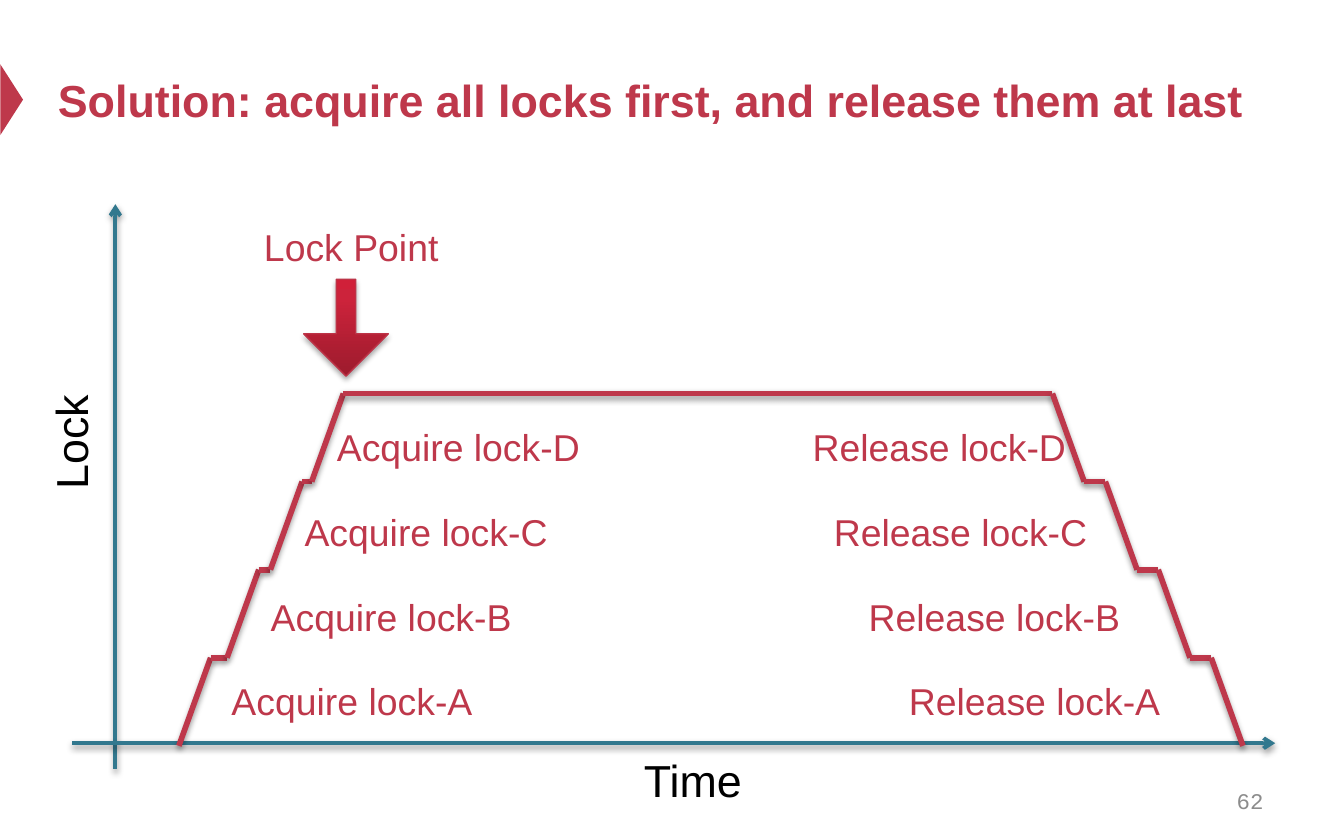
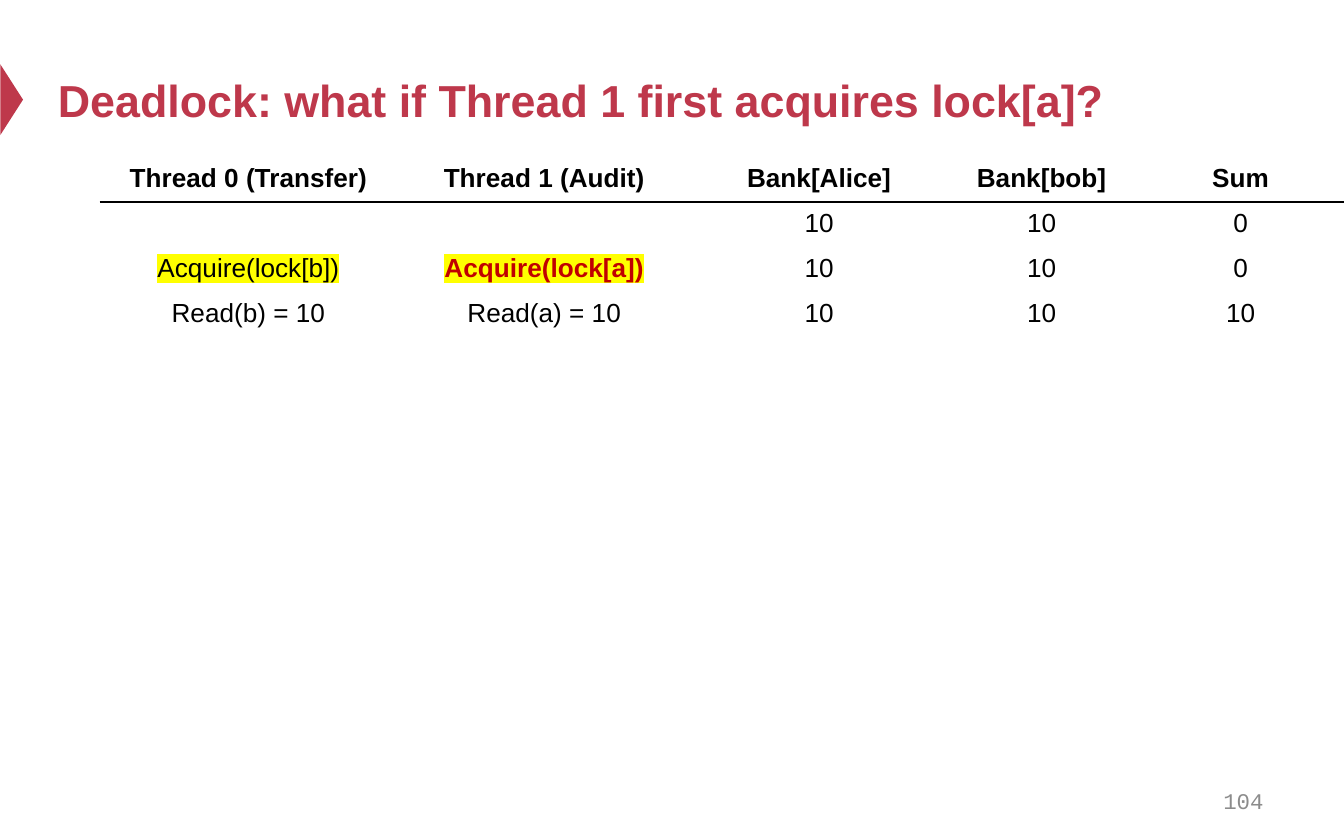
from dataclasses import dataclass
from itertools import pairwise

from lxml.etree import SubElement
from pptx import Presentation
from pptx.dml.color import RGBColor
from pptx.enum.shapes import MSO_CONNECTOR, MSO_SHAPE
from pptx.enum.text import MSO_ANCHOR, MSO_AUTO_SIZE, PP_ALIGN
from pptx.oxml.ns import qn
from pptx.util import Cm, Pt


@dataclass(frozen=True)
class Theme:
    red: str = "BE384B"
    arrow_edge: str = "BD3347"
    arrow_stops: tuple = ((0, "9D1B2D"), (80, "CC233B"), (100, "D02039"))
    teal: str = "32788E"
    black: str = "000000"
    white: str = "FFFFFF"
    grey: str = "8C8C8C"
    alert: str = "C00000"
    marker: str = "FFFF00"
    font: str = "Arial"
    number_font: str = "Courier New"
    title_size: int = 24
    label_size: int = 20
    table_size: int = 14
    number_size: int = 12


def add_color(parent, color):
    return SubElement(parent, qn("a:srgbClr"), val=color)


class Deck:
    def __init__(self, theme):
        self.theme = theme
        self.slide = None
        self.presentation = Presentation()
        self.presentation.slide_width = Cm(25.4)
        self.presentation.slide_height = Cm(15.88)

    # Slide frame: marker, title and page number
    def add_slide(self, title, number, title_width):
        theme = self.theme
        self.slide = self.presentation.slides.add_slide(self.presentation.slide_layouts[5])
        marker = self.add_shape(MSO_SHAPE.ISOSCELES_TRIANGLE, -0.45, 1.67, 1.34, 0.43)
        marker.rotation = 90
        marker.fill.solid()
        marker.fill.fore_color.rgb = RGBColor.from_string(theme.red)
        marker.line.fill.background()

        placeholder = self.slide.shapes.title
        placeholder.left, placeholder.top = Cm(0.84), Cm(0.64)
        placeholder.width, placeholder.height = Cm(title_width), Cm(2.49)
        frame = placeholder.text_frame
        frame.auto_size = MSO_AUTO_SIZE.NONE
        frame.vertical_anchor = MSO_ANCHOR.MIDDLE
        self.add_run(frame.paragraphs[0], title, theme.title_size, theme.red,
                     bold=True, align=PP_ALIGN.LEFT)

        page_number = self.add_text(number, 18.21, 14.71, 5.92, 0.84, theme.number_size,
                                    theme.grey, font=theme.number_font,
                                    align=PP_ALIGN.RIGHT)
        page_number.text_frame.vertical_anchor = MSO_ANCHOR.MIDDLE

    # Text
    def add_run(self, paragraph, text, size, color, bold=False, font=None,
                align=PP_ALIGN.CENTER, highlight=None):
        paragraph.alignment = align
        run = paragraph.add_run()
        run.text = text
        run.font.size = Pt(size)
        run.font.bold = bold
        run.font.color.rgb = RGBColor.from_string(color)
        if highlight:
            add_color(SubElement(run.font.fill._xPr, qn("a:highlight")), highlight)
        run.font.name = font or self.theme.font

    def add_text(self, text, left, top, width, height, size, color, wrap=True, **style):
        box = self.slide.shapes.add_textbox(Cm(left), Cm(top), Cm(width), Cm(height))
        box.text_frame.word_wrap = wrap
        self.add_run(box.text_frame.paragraphs[0], text, size, color, **style)
        return box

    def add_label(self, text, left, top, width):
        self.add_text(text, left, top, width, 1.12, self.theme.label_size,
                      self.theme.red, wrap=False)

    # Shapes and lines
    def add_shape(self, kind, left, top, width, height):
        shape = self.slide.shapes.add_shape(kind, Cm(left), Cm(top), Cm(width), Cm(height))
        shape.shadow.inherit = False
        return shape

    def add_shadow(self, shape, opacity, distance):
        properties = shape.element.spPr
        effects = properties.find(qn("a:effectLst"))
        if effects is None:
            effects = SubElement(properties, qn("a:effectLst"))
        shadow = SubElement(effects, qn("a:outerShdw"), blurRad=str(Pt(3.1)),
                            dist=str(Pt(distance)), dir="5400000", rotWithShape="0")
        SubElement(add_color(shadow, self.theme.black), qn("a:alpha"), val=str(opacity * 1000))

    def add_line(self, start, end, color, width, arrow=False):
        line = self.slide.shapes.add_connector(
            MSO_CONNECTOR.STRAIGHT, *(Cm(value) for value in (*start, *end)))
        line.line.color.rgb = RGBColor.from_string(color)
        line.line.width = Pt(width)
        if arrow:
            SubElement(line.element.spPr.find(qn("a:ln")), qn("a:tailEnd"), type="arrow")
        self.add_shadow(line, 38, 1.6)

    def add_down_arrow(self, left, top, width, height):
        arrow = self.add_shape(MSO_SHAPE.DOWN_ARROW, left, top, width, height)
        arrow.adjustments[0] = 0.23
        arrow.adjustments[1] = 0.5
        arrow.fill.gradient()
        arrow.fill.gradient_angle = 90
        stops = arrow.element.spPr.find(qn("a:gradFill")).find(qn("a:gsLst"))
        for stop in list(stops):
            stops.remove(stop)
        for position, color in self.theme.arrow_stops:
            add_color(SubElement(stops, qn("a:gs"), pos=str(position * 1000)), color)
        arrow.line.color.rgb = RGBColor.from_string(self.theme.arrow_edge)
        arrow.line.width = Pt(0.75)
        self.add_shadow(arrow, 35, 1.8)

    # Table
    def add_borders(self, cell, **colors):
        properties = cell._tc.get_or_add_tcPr()
        for side in "LRTB":
            line = SubElement(properties, qn(f"a:ln{side}"), w=str(Pt(1)))
            add_color(SubElement(line, qn("a:solidFill")), colors.get(side, self.theme.white))

    def add_table(self, rows, row_count, widths, left, top, row_height, emphasis):
        theme = self.theme
        table = self.slide.shapes.add_table(
            row_count, len(widths), Cm(left), Cm(top), Cm(sum(widths)),
            Cm(row_height * row_count)).table
        table.first_row = table.horz_banding = False
        for column, width in zip(table.columns, widths):
            column.width = Cm(width)
        header_rule = ({"B": theme.black}, {"T": theme.black})
        for row_index in range(row_count):
            texts = rows[row_index] if row_index < len(rows) else [""] * len(widths)
            rule = header_rule[row_index] if row_index < 2 else {}
            for column_index, text in enumerate(texts):
                cell = table.cell(row_index, column_index)
                self.add_borders(cell, **rule)
                cell.fill.background()
                paragraph = cell.text_frame.paragraphs[0]
                if text:
                    style = {"color": theme.black, "bold": row_index == 0}
                    style.update(emphasis.get(text, {}))
                    self.add_run(paragraph, text, theme.table_size, **style)
                else:
                    SubElement(paragraph._p, qn("a:endParaRPr"),
                               sz=str(theme.table_size * 100))


def build_lock_slide(deck):
    theme = deck.theme
    deck.add_slide("Solution: acquire all locks first, and release them at last", "62", 23.93)

    # Axes
    deck.add_line((2.18, 14.53), (2.18, 3.86), theme.teal, 2, arrow=True)
    deck.add_line((1.37, 14.05), (24.1, 14.05), theme.teal, 2, arrow=True)
    deck.add_text("Time", 9.3, 14.1, 7.59, 1.27, theme.title_size, theme.black)
    axis_name = deck.add_text("Lock", -1.83, 7.72, 6.32, 1.27, theme.title_size, theme.black)
    axis_name.rotation = 270

    # Staircase up while acquiring, down while releasing
    base, rise, slant = 14.1, 1.665, 0.6
    points = []
    for step, x in enumerate((3.38, 4.29, 5.11, 5.89)):
        points += [(x, base - rise * step), (x + slant, base - rise * (step + 1))]
    for step in range(4):
        x = 19.89 + step
        points += [(x, base - rise * (4 - step)), (x + slant, base - rise * (3 - step))]
    for start, end in pairwise(points):
        deck.add_line(start, end, theme.red, 3)

    # Step labels and lock point
    acquire_lefts = (4.09, 4.83, 5.49, 6.1)
    release_lefts = (16.89, 16.13, 15.49, 15.09)
    for step, lock in enumerate("ABCD"):
        top = 12.7 - 1.6 * step
        deck.add_label(f"Acquire lock-{lock}", acquire_lefts[step], top, 5.13)
        deck.add_label(f"Release lock-{lock}", release_lefts[step], top, 5.33)
    deck.add_label("Lock Point", 4.72, 4.11, 3.84)
    deck.add_down_arrow(5.74, 5.28, 1.6, 1.83)


def build_deadlock_slide(deck):
    theme = deck.theme
    deck.add_slide("Deadlock: what if Thread 1 first acquires lock[a]?", "104", 22.86)
    rows = [
        ["Thread 0 (Transfer)", "Thread 1 (Audit)", "Bank[Alice]", "Bank[bob]", "Sum"],
        ["", "", "10", "10", "0"],
        ["Acquire(lock[b])", "Acquire(lock[a])", "10", "10", "0"],
        ["Read(b) = 10", "Read(a) = 10", "10", "10", "10"],
    ]
    emphasis = {
        "Acquire(lock[b])": {"highlight": theme.marker},
        "Acquire(lock[a])": {"highlight": theme.marker, "color": theme.alert, "bold": True},
    }
    deck.add_table(rows, 13, (5.59, 5.59, 4.8, 3.61, 3.91), 1.9, 2.97, 0.81, emphasis)


def main():
    deck = Deck(Theme())
    build_lock_slide(deck)
    build_deadlock_slide(deck)
    deck.presentation.save("out.pptx")


if __name__ == "__main__":
    main()
